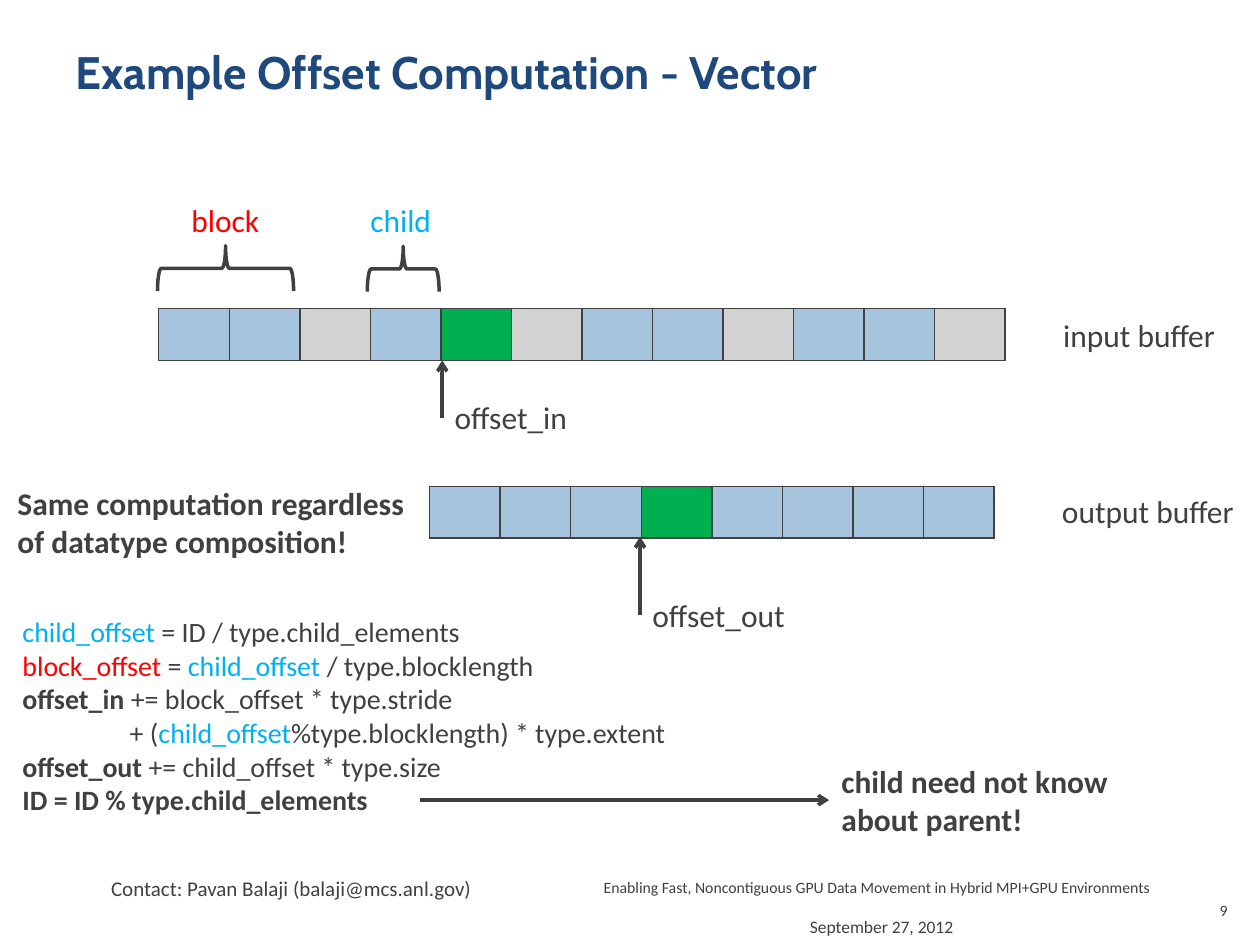
from lxml import etree
from pptx import Presentation
from pptx.dml.color import RGBColor
from pptx.enum import shapes, text
from pptx.oxml.ns import qn
from pptx.util import Inches, Pt

DARK, NAVY, RED, CYAN = "404040", "1F497D", "FF0000", "00B0F0"
FILLS = {"b": "A6C4DE", "g": "D2D2D2", "x": "00B050"}
CELL_W, CELL_H = 0.56, 0.41

BUFFERS = [(1.26, 2.45, "bbgbxgbbgbbg"), (3.41, 3.86, "bbbxbbbb")]
LABELS = [
    (3.51, 3.11, 1.11, 0.4, "offset_in", DARK, False),
    (5.08, 4.68, 1.27, 0.4, "offset_out", DARK, False),
    (8.34, 2.46, 1.43, 0.4, "input buffer", DARK, False),
    (8.33, 3.86, 1.59, 0.4, "output buffer", DARK, False),
    (2.84, 1.55, 0.69, 0.4, "child", CYAN, False),
    (1.42, 1.55, 0.75, 0.4, "block", RED, False),
    (6.58, 6, 2.39, 0.71, "child need not know \nabout parent!", DARK, True),
    (0.04, 3.79, 3.29, 0.71,
     "Same computation regardless\nof datatype composition!", DARK, True),
]
FOOTERS = [
    (0.75, 6.9, 3.09, 0.3, "Contact: Pavan Balaji (balaji@mcs.anl.gov)", 12, True),
    (6.33, 7.22, 1.5, 0.23, "September 27, 2012", 10, False),
    (4.17, 6.92, 5.05, 0.25,
     "Enabling Fast, Noncontiguous GPU Data Movement in Hybrid MPI+GPU Environments",
     9, True),
    (9.42, 7.1, 0.42, 0.4, "9", 9, True),
]
CODE = [
    [("child_offset ", CYAN, False), ("= ID / type.child_elements", DARK, False)],
    [("block_offset", RED, False), (" = ", DARK, False),
     ("child_offset", CYAN, False), (" / type.blocklength", DARK, False)],
    [("offset_in", DARK, True), (" += block_offset * type.stride", DARK, False)],
    [("                 + (", DARK, False), ("child_offset", CYAN, False),
     ("%type.blocklength) * type.extent", DARK, False)],
    [("offset_out", DARK, True), (" += child_offset * type.size", DARK, False)],
    [("ID = ID % type.child_elements", DARK, True)],
]
ARROWS = [(3.51, 3.32, 3.51, 2.86), (5.08, 4.88, 5.08, 4.26), (3.33, 6.35, 6.58, 6.35)]
BRACES = [(3.02, 1.85, 0.36, 0.57), (1.61, 1.59, 0.36, 1.08)]


def color(code):
    return RGBColor.from_string(code)


def style(font, size, code=DARK, bold=False, name="Calibri"):
    font.name, font.size, font.bold = name, Pt(size), bold
    font.color.rgb = color(code)


def add_box(slide, place, wrap=False):
    frame = slide.shapes.add_textbox(*map(Inches, place)).text_frame
    frame.word_wrap = wrap
    return frame


def add_label(slide, place, words, size, code=DARK, bold=False, right=False, wrap=False):
    para = add_box(slide, place, wrap).paragraphs[0]
    para.text = words
    para.alignment = text.PP_ALIGN.RIGHT if right else text.PP_ALIGN.LEFT
    style(para.font, size, code, bold)


def add_code(slide, place):
    frame = add_box(slide, place, True)
    for i, parts in enumerate(CODE):
        para = frame.add_paragraph() if i else frame.paragraphs[0]
        for words, code, bold in parts:
            run = para.add_run()
            run.text = words
            style(run.font, 16, code, bold)


def add_buffer(slide, left, top, kinds):
    place = left, top, CELL_W * len(kinds), CELL_H
    table = slide.shapes.add_table(1, len(kinds), *map(Inches, place)).table
    for cell, kind in zip(table.iter_cells(), kinds):
        props = cell._tc.get_or_add_tcPr()
        for side in ("lnL", "lnR", "lnT", "lnB"):
            line = etree.SubElement(props, qn("a:" + side), w=str(Pt(1)))
            fill = etree.SubElement(line, qn("a:solidFill"))
            etree.SubElement(fill, qn("a:srgbClr"), val=DARK)
        cell.fill.solid()
        cell.fill.fore_color.rgb = color(FILLS[kind])


def add_arrow(slide, ends):
    arrow = slide.shapes.add_connector(shapes.MSO_CONNECTOR.STRAIGHT, *map(Inches, ends))
    arrow.line.color.rgb = color(DARK)
    arrow.line.width = Pt(2)
    etree.SubElement(arrow.line._get_or_add_ln(), qn("a:tailEnd"), type="arrow")
    etree.SubElement(arrow._element.spPr, qn("a:effectLst"))


def add_brace(slide, place):
    brace = slide.shapes.add_shape(shapes.MSO_SHAPE.LEFT_BRACE, *map(Inches, place))
    brace.rotation = 90
    brace.shadow.inherit = False
    brace.fill.background()
    brace.line.color.rgb = color(DARK)
    brace.line.width = Pt(2)


def add_title(slide):
    title = slide.shapes.title
    title.left, title.top, title.width, title.height = map(Inches, (0.5, 0.3, 9, 1.25))
    title.text_frame.vertical_anchor = text.MSO_ANCHOR.TOP
    para = title.text_frame.paragraphs[0]
    para.text = "Example Offset Computation - Vector"
    para.alignment = text.PP_ALIGN.LEFT
    style(para.font, 26, NAVY, True, "Cabin")


def main():
    deck = Presentation()
    deck.slide_width, deck.slide_height = Inches(10), Inches(7.5)
    slide = deck.slides.add_slide(deck.slide_layouts[5])
    add_title(slide)
    for *place, words, size, right in FOOTERS:
        add_label(slide, place, words, size, right=right, wrap=True)
    for buffer in BUFFERS:
        add_buffer(slide, *buffer)
    for *place, words, code, bold in LABELS:
        add_label(slide, place, words, 18, code, bold)
    add_code(slide, (0.08, 4.83, 5.42, 1.72))
    for ends in ARROWS:
        add_arrow(slide, ends)
    for place in BRACES:
        add_brace(slide, place)
    deck.save("out.pptx")


if __name__ == "__main__":
    main()
